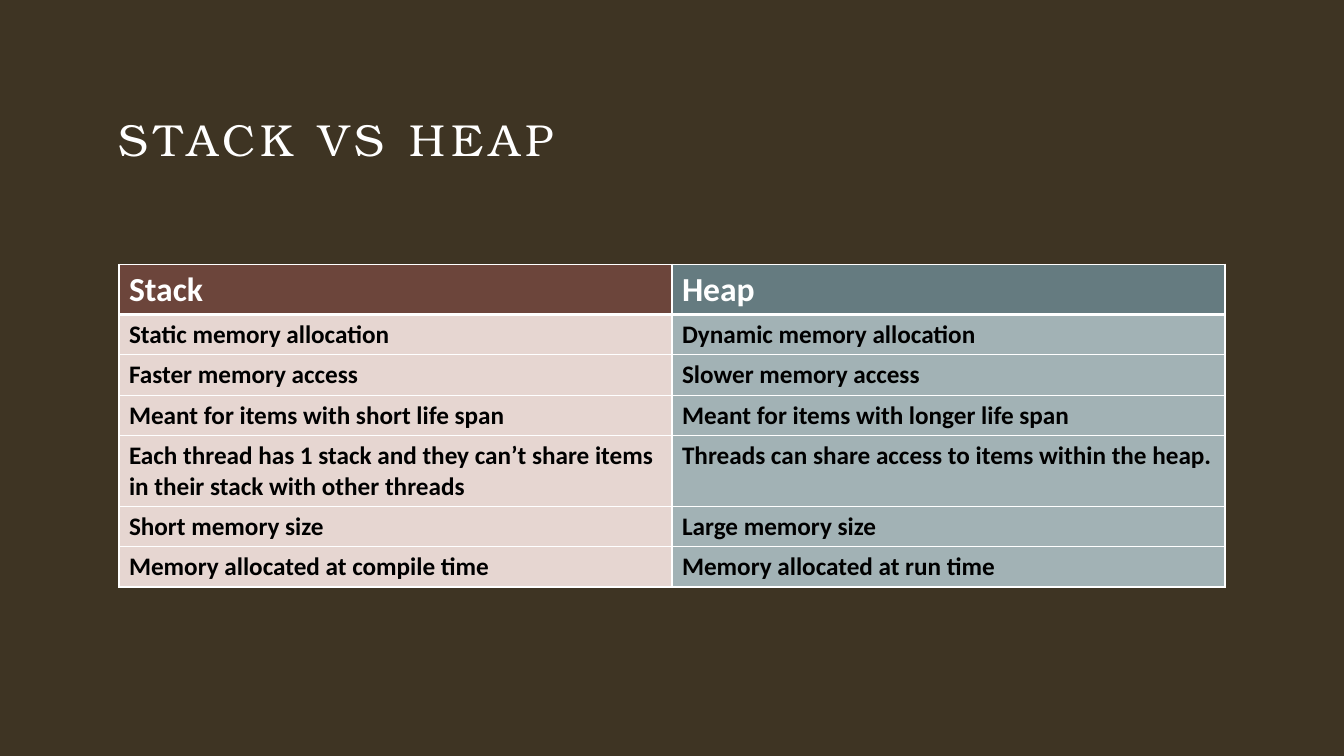
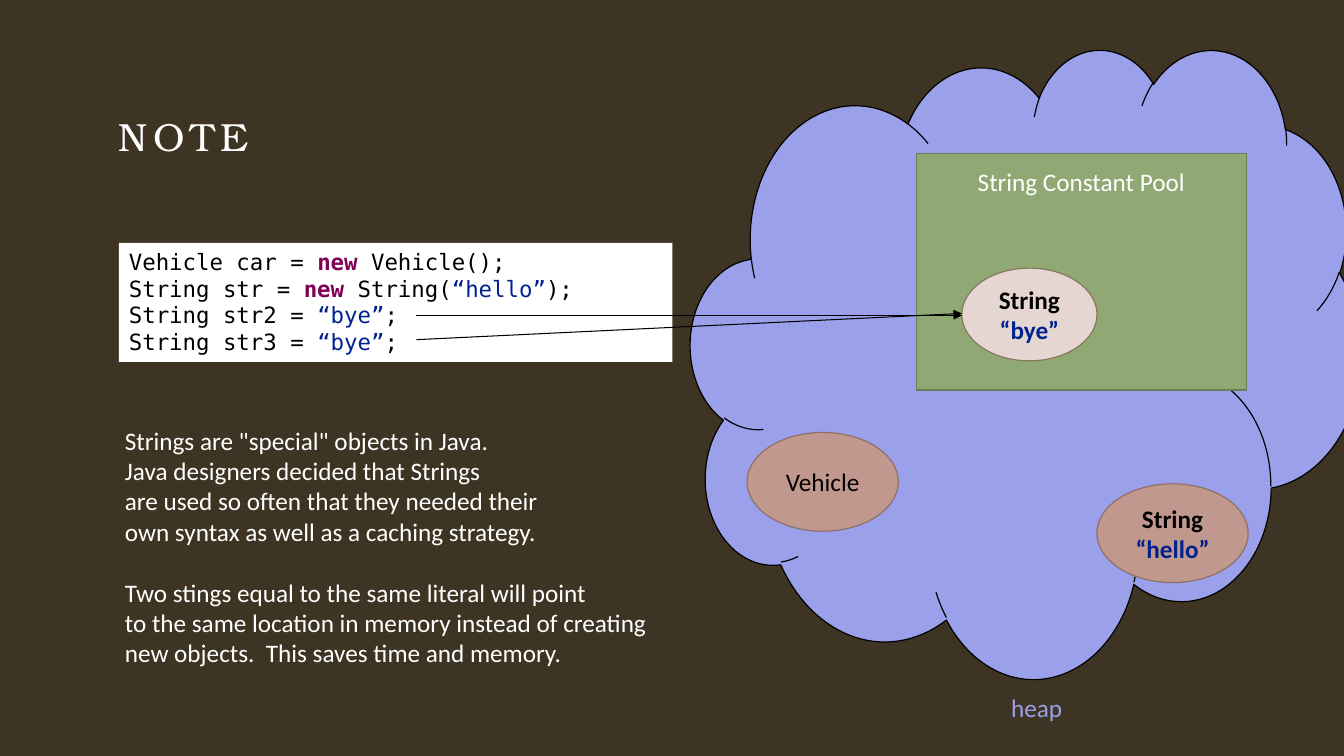
from dataclasses import dataclass, replace
from typing import NamedTuple, Optional, Sequence

from lxml.etree import SubElement
from pptx import Presentation
from pptx.dml.color import RGBColor
from pptx.enum.shapes import MSO_AUTO_SHAPE_TYPE as Preset, MSO_CONNECTOR_TYPE as ConnectorType
from pptx.enum.text import MSO_VERTICAL_ANCHOR as Anchor, PP_PARAGRAPH_ALIGNMENT as Align
from pptx.oxml.ns import qn
from pptx.shapes.autoshape import Shape
from pptx.slide import Slide
from pptx.table import _Cell as Cell
from pptx.text.text import TextFrame
from pptx.util import Inches, Pt


@dataclass(frozen=True)
class Theme:
    background: str = "3E3423"
    white: str = "FFFFFF"
    black: str = "000000"
    keyword: str = "7F0055"
    literal: str = "002291"
    stack_header: str = "6C453B"
    heap_header: str = "657B80"
    stack_body: str = "E6D6D1"
    heap_body: str = "A2B2B5"
    cloud: str = "9BA0EA"
    pool: str = "90A974"
    pool_line: str = "6B7D56"
    instance: str = "C1988D"
    instance_line: str = "8F7068"
    pooled: str = "E6D6D1"
    pooled_line: str = "87775C"
    title_font: str = "TeX Gyre Bonum"
    body_font: str = "Calibri"
    code_font: str = "DejaVu Sans Mono"
    title_size: int = 32
    small_title_size: int = 28
    header_size: int = 24
    body_size: int = 18
    code_size: int = 16
    title_tracking: int = 4
    outline: float = 0.85
    arrow_line: float = 0.75


THEME = Theme()


class Box(NamedTuple):
    left: float
    top: float
    width: float
    height: float

    def lengths(self) -> tuple[int, ...]:
        return tuple(Inches(value) for value in self)


class Piece(NamedTuple):
    text: str
    color: Optional[str] = None
    bold: Optional[bool] = None


@dataclass(frozen=True)
class TextStyle:
    color: str = THEME.white
    size: int = THEME.body_size
    font: str = THEME.body_font
    bold: bool = False
    align: Align = Align.LEFT


class Line(NamedTuple):
    pieces: Sequence[Piece]
    style: TextStyle
    space_before: int = 0


class Oval(NamedTuple):
    box: Box
    fill: str
    outline: str
    lines: Sequence[Line]


class Arrow(NamedTuple):
    begin_x: float
    begin_y: float
    end_x: float
    end_y: float


BODY = TextStyle()
CELL = TextStyle(THEME.black, bold=True)
HEADER = TextStyle(size=THEME.header_size, bold=True)
CODE = TextStyle(THEME.black, THEME.code_size, THEME.code_font)
TITLE = TextStyle(size=THEME.title_size, font=THEME.title_font)
CENTERED = TextStyle(align=Align.CENTER)
OBJECT_NAME = replace(CENTERED, color=THEME.black)
STRING_NAME = replace(OBJECT_NAME, bold=True)
STRING_VALUE = replace(STRING_NAME, color=THEME.literal)

TITLE_BOX = Box(1.18, 1.11, 10.97, 0.72)
TABLE_BOX = Box(1.18, 2.62, 10.97, 3.22)
ROW_HEIGHTS = (0.5, 0.4, 0.4, 0.4, 0.7, 0.4, 0.4)
COMPARISON = (
    ("Stack", "Heap"),
    ("Static memory allocation", "Dynamic memory allocation"),
    ("Faster memory access", "Slower memory access"),
    ("Meant for items with short life span", "Meant for items with longer life span"),
    (
        "Each thread has 1 stack and they can’t share items in their stack with other threads",
        "Threads can share access to items within the heap.",
    ),
    ("Short memory size", "Large memory size"),
    ("Memory allocated at compile time", "Memory allocated at run time"),
)

NEW = Piece("new", THEME.keyword, True)
BYE = Piece("“bye”", THEME.literal)
CODE_LINES = (
    (Piece("Vehicle car = "), NEW, Piece(" Vehicle();")),
    (Piece("String str = "), NEW, Piece(" String("), Piece("“hello”", THEME.literal), Piece(");")),
    (Piece("String str2 = "), BYE, Piece(";")),
    (Piece("String str3 = "), BYE, Piece(";")),
)
EXPLANATION = (
    (
        'Strings are "special" objects in Java.',
        "Java designers decided that Strings",
        "are used so often that they needed their",
        "own syntax as well as a caching strategy.",
    ),
    (
        "Two stings equal to the same literal will point",
        "to the same location in memory instead of creating",
        "new objects.  This saves time and memory.",
    ),
)
SECTION_GAP = 22


def plain(text: str, style: TextStyle, space_before: int = 0) -> Line:
    return Line((Piece(text),), style, space_before)


def string_lines(value: str) -> tuple[Line, Line]:
    return plain("String", STRING_NAME), plain(value, STRING_VALUE)


HEAP_OBJECTS = (
    Oval(Box(7.41, 4.29, 1.5, 0.98), THEME.instance, THEME.instance_line,
         (plain("Vehicle", OBJECT_NAME),)),
    Oval(Box(10.88, 4.8, 1.5, 0.98), THEME.instance, THEME.instance_line,
         string_lines("“hello”")),
)
POOLED_STRING = Oval(Box(9.54, 2.66, 1.34, 0.92), THEME.pooled, THEME.pooled_line,
                     string_lines("“bye”"))
REFERENCES = (Arrow(4.13, 3.13, 9.54, 3.13), Arrow(4.13, 3.37, 9.54, 3.11))


def rgb(color: str) -> RGBColor:
    return RGBColor.from_string(color)


def write_lines(frame: TextFrame, lines: Sequence[Line]) -> None:
    frame.word_wrap = True
    for index, line in enumerate(lines):
        paragraph = frame.add_paragraph() if index else frame.paragraphs[0]
        paragraph.alignment = line.style.align
        if line.space_before:
            paragraph.space_before = Pt(line.space_before)
        paragraph.font.name = line.style.font
        paragraph.font.size = Pt(line.style.size)
        paragraph.font.bold = line.style.bold
        paragraph.font.color.rgb = rgb(line.style.color)
        for piece in line.pieces:
            run = paragraph.add_run()
            run.text = piece.text
            if piece.color:
                run.font.color.rgb = rgb(piece.color)
            if piece.bold is not None:
                run.font.bold = piece.bold


def add_text(slide: Slide, box: Box, lines: Sequence[Line]) -> TextFrame:
    frame = slide.shapes.add_textbox(*box.lengths()).text_frame
    write_lines(frame, lines)
    return frame


def add_title(slide: Slide, text: str, size: int) -> None:
    frame = add_text(slide, TITLE_BOX, (plain(text, replace(TITLE, size=size)),))
    frame.margin_left = frame.margin_top = frame.margin_right = frame.margin_bottom = 0
    for run in frame.paragraphs[0].runs:
        run.font._element.set("spc", str(THEME.title_tracking * 100))


def add_panel(slide: Slide, preset: Preset, box: Box, fill: str,
              outline: Optional[str] = None) -> Shape:
    shape = slide.shapes.add_shape(preset, *box.lengths())
    shape.shadow.inherit = False
    shape.fill.solid()
    shape.fill.fore_color.rgb = rgb(fill)
    if outline:
        shape.line.color.rgb = rgb(outline)
        shape.line.width = Pt(THEME.outline)
    else:
        shape.line.fill.background()
    return shape


def add_oval(slide: Slide, oval: Oval) -> None:
    shape = add_panel(slide, Preset.OVAL, oval.box, oval.fill, oval.outline)
    shape.text_frame.vertical_anchor = Anchor.MIDDLE
    write_lines(shape.text_frame, oval.lines)


def add_arrow(slide: Slide, arrow: Arrow) -> None:
    connector = slide.shapes.add_connector(
        ConnectorType.STRAIGHT, *(Inches(value) for value in arrow))
    connector.line.color.rgb = rgb(THEME.black)
    connector.line.width = Pt(THEME.arrow_line)
    SubElement(connector.line._get_or_add_ln(), qn("a:tailEnd"), type="triangle")
    SubElement(connector._element.spPr, qn("a:effectLst"))


def set_borders(cell: Cell, top: int, bottom: int) -> None:
    properties = cell._tc.get_or_add_tcPr()
    widths = {"a:lnL": 1, "a:lnR": 1, "a:lnT": top, "a:lnB": bottom}
    for position, (tag, width) in enumerate(widths.items()):
        border = SubElement(properties, qn(tag), w=str(Pt(width)))
        fill = SubElement(border, qn("a:solidFill"))
        SubElement(fill, qn("a:srgbClr"), val=THEME.white)
        properties.insert(position, border)


def add_comparison(slide: Slide) -> None:
    table = slide.shapes.add_table(
        len(COMPARISON), len(COMPARISON[0]), *TABLE_BOX.lengths()).table
    table.first_row = table.horz_banding = False
    for row, height in zip(table.rows, ROW_HEIGHTS):
        row.height = Inches(height)
    for row_index, texts in enumerate(COMPARISON):
        is_header = row_index == 0
        fills = ((THEME.stack_header, THEME.heap_header) if is_header
                 else (THEME.stack_body, THEME.heap_body))
        for column_index, (text, fill) in enumerate(zip(texts, fills)):
            cell = table.cell(row_index, column_index)
            cell.fill.solid()
            cell.fill.fore_color.rgb = rgb(fill)
            write_lines(cell.text_frame, (plain(text, HEADER if is_header else CELL),))
            set_borders(cell, 3 if row_index == 1 else 1, 3 if is_header else 1)


def build_comparison_slide(slide: Slide) -> None:
    add_title(slide, "STACK VS HEAP", THEME.title_size)
    add_comparison(slide)


def build_note_slide(slide: Slide) -> None:
    add_title(slide, "NOTE", THEME.small_title_size)
    code = add_panel(slide, Preset.RECTANGLE, Box(1.18, 2.41, 5.49, 1.18), THEME.white)
    code.text_frame.vertical_anchor = Anchor.TOP
    write_lines(code.text_frame, [Line(pieces, CODE) for pieces in CODE_LINES])

    add_panel(slide, Preset.CLOUD, Box(6.85, 0.48, 6.65, 6.24), THEME.cloud, THEME.black)
    add_text(slide, Box(9.93, 6.82, 0.78, 0.4),
             (plain("heap", replace(BODY, color=THEME.cloud)),))
    for oval in HEAP_OBJECTS:
        add_oval(slide, oval)

    pool = add_panel(slide, Preset.RECTANGLE, Box(9.09, 1.52, 3.27, 2.35),
                     THEME.pool, THEME.pool_line)
    pool.text_frame.vertical_anchor = Anchor.TOP
    pool.text_frame.margin_top = Inches(0.13)
    write_lines(pool.text_frame, (plain("String Constant Pool", CENTERED),))
    add_oval(slide, POOLED_STRING)
    for arrow in REFERENCES:
        add_arrow(slide, arrow)

    add_text(slide, Box(1.14, 4.17, 5.98, 2.52), [
        plain(text, BODY, SECTION_GAP if section_index and not line_index else 0)
        for section_index, section in enumerate(EXPLANATION)
        for line_index, text in enumerate(section)
    ])


def main() -> None:
    presentation = Presentation()
    presentation.slide_width = Inches(13.33)
    presentation.slide_height = Inches(7.5)
    background = presentation.slide_master.background.fill
    background.solid()
    background.fore_color.rgb = rgb(THEME.background)
    blank_layout = presentation.slide_layouts[6]
    for build in (build_comparison_slide, build_note_slide):
        build(presentation.slides.add_slide(blank_layout))
    presentation.save("out.pptx")


if __name__ == "__main__":
    main()
